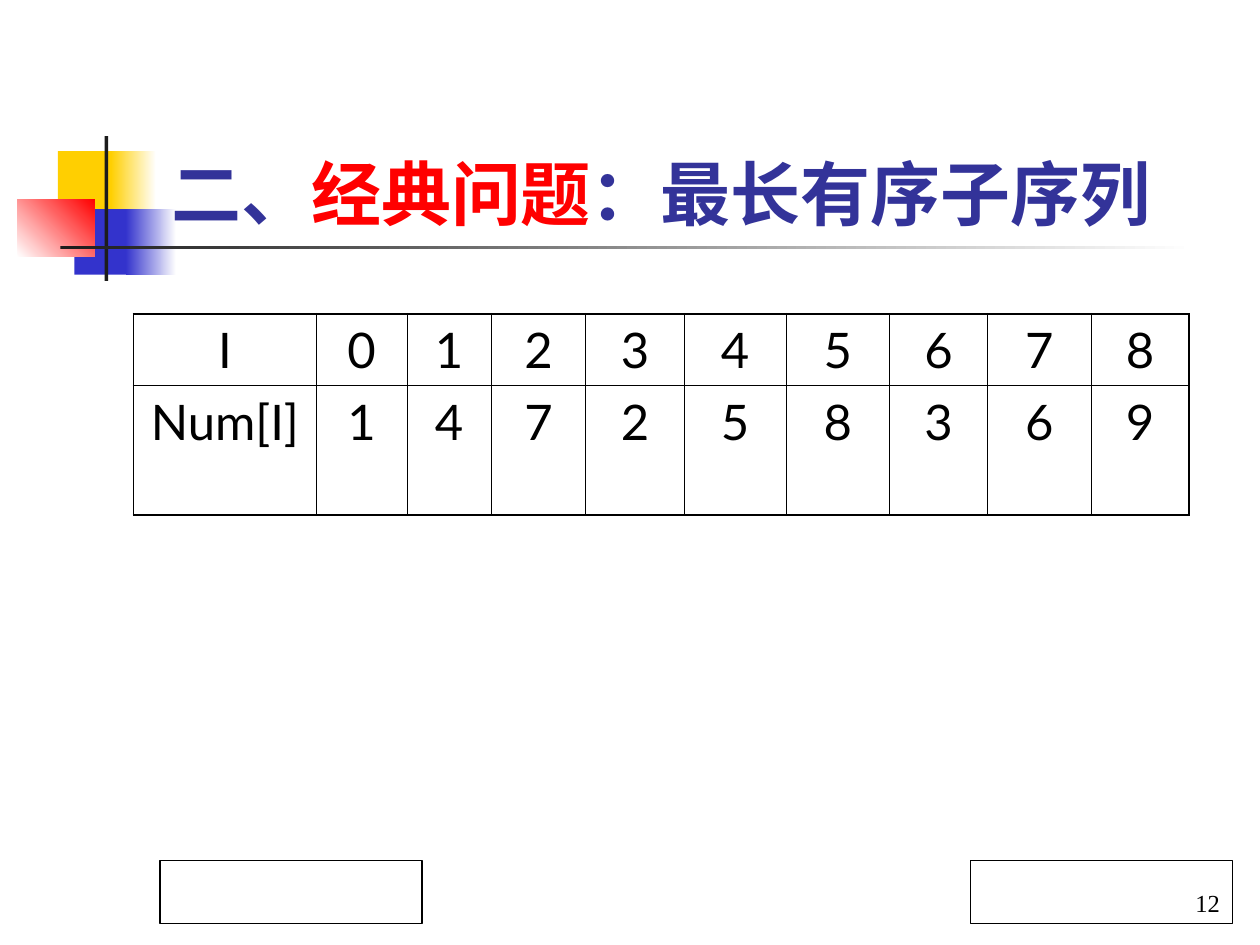
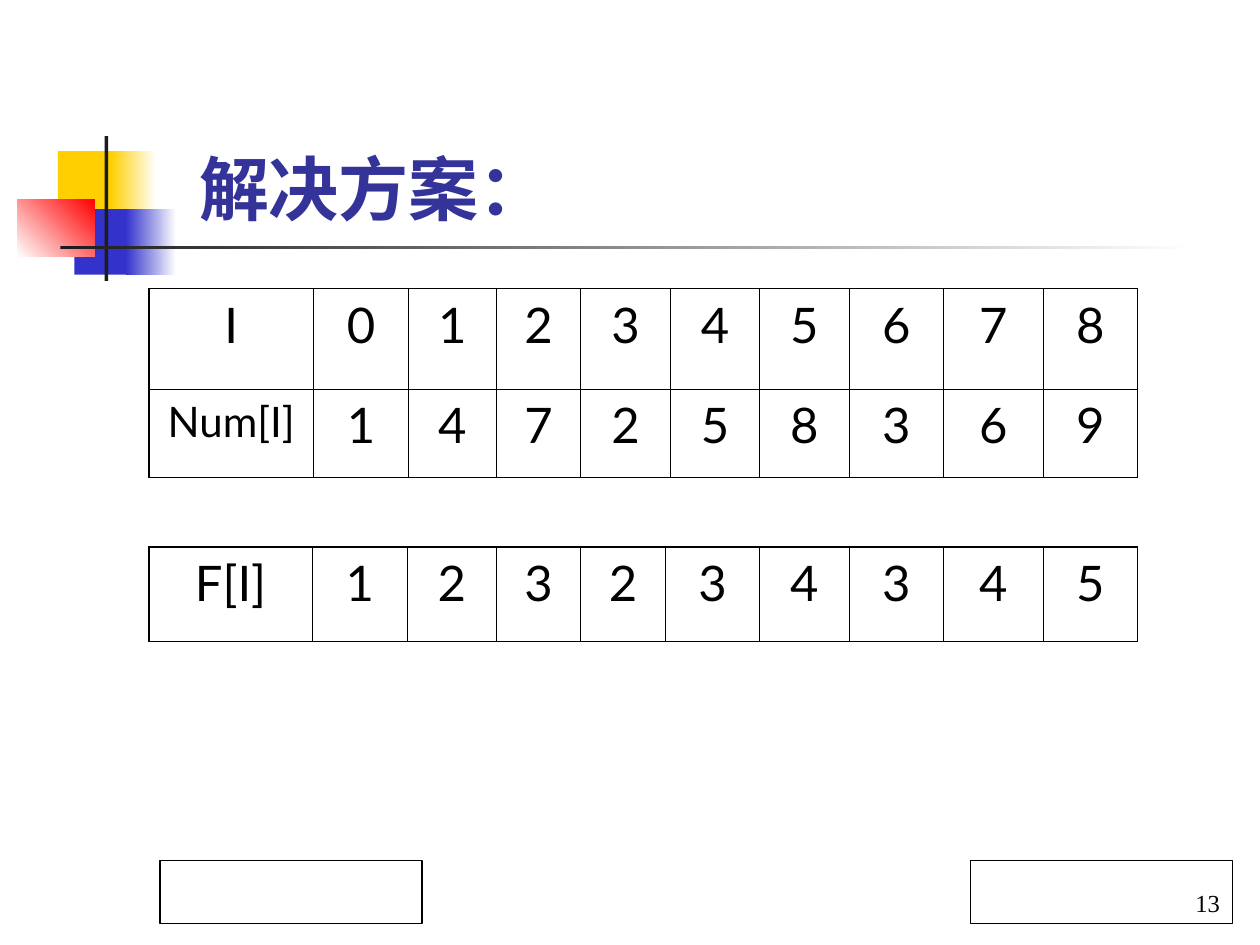
from lxml.etree import SubElement
from pptx import Presentation
from pptx.dml.color import RGBColor
from pptx.enum.lang import MSO_LANGUAGE_ID
from pptx.enum.shapes import MSO_SHAPE
from pptx.enum.text import MSO_ANCHOR, MSO_AUTO_SIZE, PP_ALIGN
from pptx.oxml.ns import qn
from pptx.util import Inches, Pt

COLORS = {
    "white": "FFFFFF", "black": "000000", "gold": "FFCF01", "blue": "3333CC",
    "red": "FF0000", "ink": "1C1C1C", "title": "333399",
}


def write(para, text, size=28, font="Lato", color="black", bold=False,
          align=PP_ALIGN.LEFT, lang=None):
    para.alignment = align
    run = para.add_run()
    run.text = text
    run.font.size = Pt(size)
    run.font.name = font
    run.font.bold = bold
    run.font.color.rgb = RGBColor.from_string(COLORS[color])
    if lang:
        run.font.language_id = lang


def add_box(slide, box, fill, line=None, angle=0):
    """Draw a rectangle; a pair of colours gives a gradient."""
    rect = slide.shapes.add_shape(MSO_SHAPE.RECTANGLE, *map(Inches, box))
    rect.shadow.inherit = False
    if isinstance(fill, tuple):
        rect.fill.gradient()
        rect.fill.gradient_angle = angle
        for stop, name, pos in zip(rect.fill.gradient_stops, fill, (0, 1)):
            stop.color.rgb = RGBColor.from_string(COLORS[name])
            stop.position = pos
    else:
        rect.fill.solid()
        rect.fill.fore_color.rgb = RGBColor.from_string(COLORS[fill])
    if line:
        rect.line.color.rgb = RGBColor.from_string(COLORS[line])
        rect.line.width = Pt(0.75)
    else:
        rect.line.fill.background()
    return rect


# Content of each slide
index = ["I", *"012345678"]
nums = ["Num[I]", *"147258369"]
best = ["F[I]", *"123234345"]

pages = [
    {
        "number": 12,
        "place": (1.26, 0.91, 8.52, 1),
        "title": [("二、", "title"), ("经典问题", "red"),
                  ("：最长有序子序列", "title")],
        "tables": [
            {"left": 1.06, "top": 2.49, "heights": [0.57, 1.03],
             "widths": [1.45, 0.72, 0.67, 0.75, 0.78,
                        0.81, 0.82, 0.78, 0.82, 0.78],
             "rows": [index, nums], "sizes": {}},
        ],
    },
    {
        "number": 13,
        "place": (1.48, 1.11, 5.57, 0.76),
        "title": [("解决方案：", "title")],
        "tables": [
            {"left": 1.18, "top": 2.29, "heights": [0.8, 0.7],
             "widths": [1.31, 0.75, 0.7, 0.67, 0.71,
                        0.71, 0.71, 0.75, 0.79, 0.75],
             "rows": [index, nums], "sizes": {"Num[I]": 24}},
            {"left": 1.18, "top": 4.34, "heights": [0.75],
             "widths": [1.3, 0.75, 0.71, 0.67, 0.67,
                        0.75, 0.71, 0.75, 0.79, 0.75],
             "rows": [best], "sizes": {}},
        ],
    },
]

# Blocks and rules beside the title, shared through the layout
marks = [
    ((0.46, 1.2, 0.48, 0.52), "gold", 0),
    ((0.88, 1.2, 0.36, 0.52), ("gold", "white"), 0),
    ((0.59, 1.66, 0.46, 0.52), "blue", 0),
    ((1, 1.66, 0.4, 0.52), ("blue", "white"), 0),
    ((0.14, 1.58, 0.61, 0.46), ("white", "red"), 45),
    ((0.83, 1.08, 0.03, 1.15), "ink", 0),
    ((0.48, 1.95, 9, 0.03), ("ink", "white"), 0),
]

prs = Presentation()
prs.slide_width, prs.slide_height = Inches(10), Inches(7.5)
layout = prs.slide_layouts[5]
slides = [prs.slides.add_slide(layout) for page in pages]

for box, fill, angle in marks:
    mark = add_box(slides[0], box, fill, angle=angle)
    layout.shapes.element.append(mark.element)

for slide, page in zip(slides, pages):
    # Title
    title = slide.shapes.title
    title.left, title.top, title.width, title.height = map(Inches, page["place"])
    frame = title.text_frame
    frame.auto_size = MSO_AUTO_SIZE.NONE
    frame.vertical_anchor = MSO_ANCHOR.BOTTOM
    for text, color in page["title"]:
        write(frame.paragraphs[0], text, size=40, font="Arial", color=color,
              bold=True, lang=MSO_LANGUAGE_ID.SIMPLIFIED_CHINESE)

    # Tables, with a heavier line round the outside
    for data in page["tables"]:
        rows, widths, heights = data["rows"], data["widths"], data["heights"]
        table = slide.shapes.add_table(
            len(rows), len(widths), Inches(data["left"]), Inches(data["top"]),
            Inches(sum(widths)), Inches(sum(heights))).table
        table.first_row = table.horz_banding = False
        for col, width in zip(table.columns, widths):
            col.width = Inches(width)
        for row, height in zip(table.rows, heights):
            row.height = Inches(height)
        for r, row in enumerate(rows):
            for c, text in enumerate(row):
                cell = table.cell(r, c)
                write(cell.text_frame.paragraphs[0], text,
                      size=data["sizes"].get(text, 28), align=PP_ALIGN.CENTER)
                props = cell._tc.get_or_add_tcPr()
                edges = {"lnL": c == 0, "lnR": c == len(row) - 1,
                         "lnT": r == 0, "lnB": r == len(rows) - 1}
                for tag, outer in edges.items():
                    line = SubElement(props, qn("a:" + tag),
                                      w=str(Pt(1.08 if outer else 0.45)))
                    paint = SubElement(line, qn("a:solidFill"))
                    SubElement(paint, qn("a:srgbClr"), val=COLORS["black"])
                cell.fill.background()

    # Footer boxes: date at the left, slide number at the right
    add_box(slide, (1.27, 6.83, 2.08, 0.5), "white", line="black")
    foot = add_box(slide, (7.7, 6.83, 2.08, 0.5), "white", line="black")
    foot.text_frame.vertical_anchor = MSO_ANCHOR.BOTTOM
    write(foot.text_frame.paragraphs[0], str(page["number"]), size=14,
          font="Times New Roman", align=PP_ALIGN.RIGHT)

prs.save("out.pptx")
